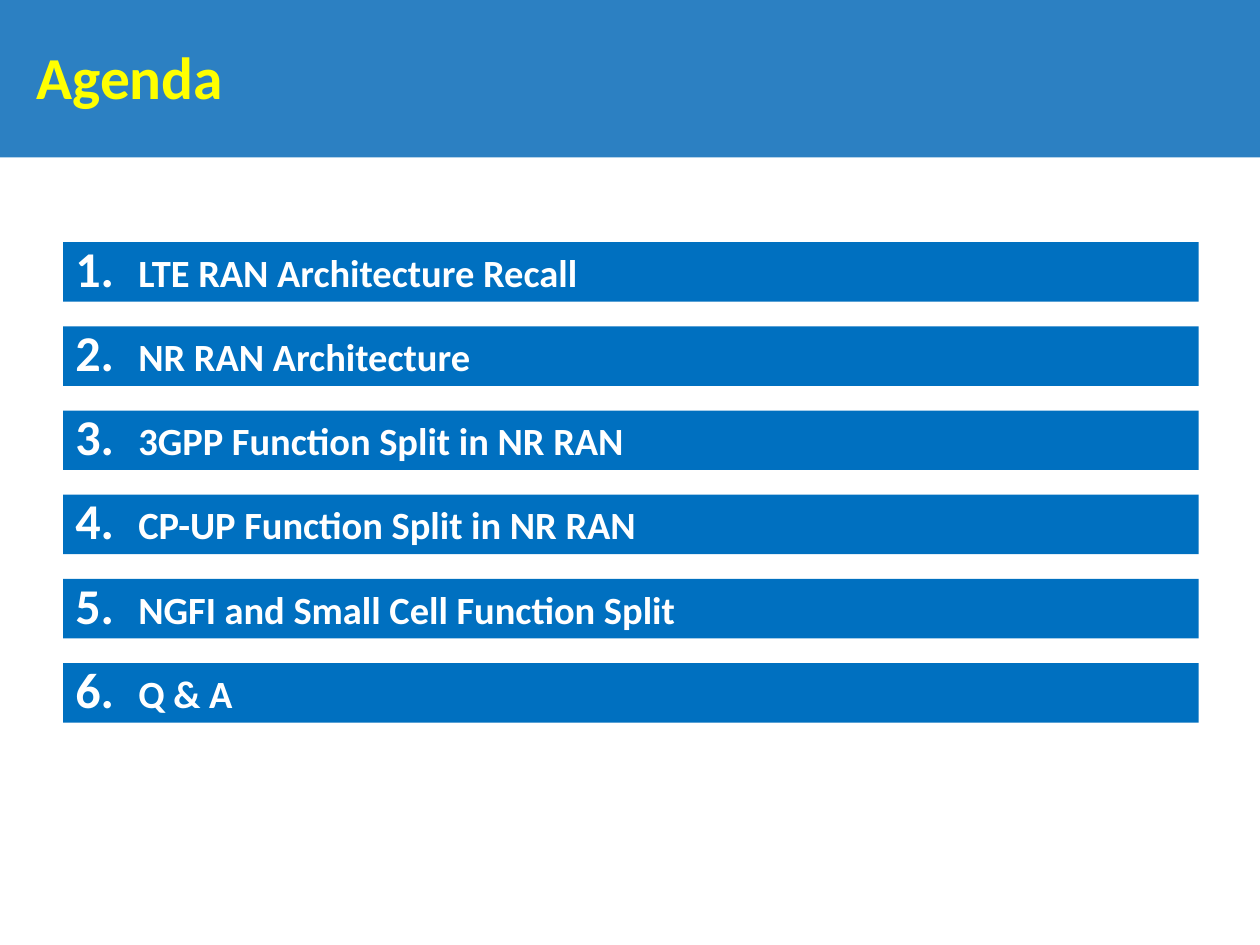
from dataclasses import dataclass

from lxml.etree import SubElement
from pptx import Presentation
from pptx.dml.color import RGBColor
from pptx.enum.shapes import MSO_SHAPE
from pptx.enum.text import MSO_ANCHOR, MSO_AUTO_SIZE, PP_ALIGN
from pptx.oxml.ns import qn
from pptx.util import Pt


@dataclass(frozen=True)
class Theme:
    font: str = "Calibri"
    header: RGBColor = RGBColor(0x2C, 0x80, 0xC2)
    bar: RGBColor = RGBColor(0x00, 0x70, 0xC0)
    title: RGBColor = RGBColor(0xFF, 0xFF, 0x00)
    topic: RGBColor = RGBColor(0xFF, 0xFF, 0xFF)
    title_size: int = 34
    topic_size: int = 22


THEME = Theme()
SLIDE_WIDTH, SLIDE_HEIGHT = 720, 540
HEADER_HEIGHT = 90
BAR_LEFT, BAR_TOP = 36, 138.4
BAR_WIDTH, BAR_HEIGHT = 649, 34
BAR_PITCH = 48.1
NUMBER_INDENT = 36
NUMBER_SCALE = 130

TOPICS = (
    "LTE RAN Architecture Recall",
    "NR RAN Architecture",
    "3GPP Function Split in NR RAN",
    "CP-UP Function Split in NR RAN",
    "NGFI and Small Cell Function Split",
    "Q & A",
)


def add_block(slide, left, top, width, height, color):
    block = slide.shapes.add_shape(
        MSO_SHAPE.RECTANGLE, Pt(left), Pt(top), Pt(width), Pt(height)
    )
    block.shadow.inherit = False
    block.fill.solid()
    block.fill.fore_color.rgb = color
    block.line.fill.background()
    return block


def write_line(shape, text, size, color):
    """Fill the shape with one bold, left-aligned paragraph and return it."""
    frame = shape.text_frame
    frame.text = text
    frame.word_wrap = True
    frame.auto_size = MSO_AUTO_SIZE.NONE
    frame.vertical_anchor = MSO_ANCHOR.MIDDLE
    line = frame.paragraphs[0]
    line.alignment = PP_ALIGN.LEFT
    line.font.name = THEME.font
    line.font.size = Pt(size)
    line.font.bold = True
    line.font.color.rgb = color
    return line


def number_paragraph(paragraph, number):
    """Give the paragraph an enlarged automatic number with a hanging indent."""
    properties = paragraph._p.get_or_add_pPr()
    properties.set("marL", str(Pt(NUMBER_INDENT)))
    properties.set("indent", str(-Pt(NUMBER_INDENT)))
    scale = SubElement(properties, qn("a:buSzPct"), val=str(NUMBER_SCALE * 1000))
    numbering = SubElement(properties, qn("a:buAutoNum"), type="arabicPeriod")
    numbering.set("startAt", str(number))
    # Paragraph defaults must follow the bullet settings in the schema order.
    defaults = properties.find(qn("a:defRPr"))
    if defaults is not None:
        defaults.addprevious(scale)
        defaults.addprevious(numbering)


def add_header(slide, text):
    title = slide.shapes.title
    title.left, title.top = Pt(13.7), Pt(23.8)
    title.width, title.height = Pt(591), Pt(44.6)
    line = write_line(title, text, THEME.title_size, THEME.title)
    line.line_spacing = 0.9
    band = add_block(slide, 0, 0, SLIDE_WIDTH, HEADER_HEIGHT, THEME.header)
    title.element.addprevious(band.element)


def add_topic(slide, number, text):
    top = BAR_TOP + (number - 1) * BAR_PITCH
    bar = add_block(slide, BAR_LEFT, top, BAR_WIDTH, BAR_HEIGHT, THEME.bar)
    line = write_line(bar, text, THEME.topic_size, THEME.topic)
    number_paragraph(line, number)


def main():
    presentation = Presentation()
    presentation.slide_width = Pt(SLIDE_WIDTH)
    presentation.slide_height = Pt(SLIDE_HEIGHT)
    slide = presentation.slides.add_slide(presentation.slide_layouts[5])
    add_header(slide, "Agenda")
    for number, topic in enumerate(TOPICS, start=1):
        add_topic(slide, number, topic)
    presentation.save("out.pptx")


if __name__ == "__main__":
    main()
